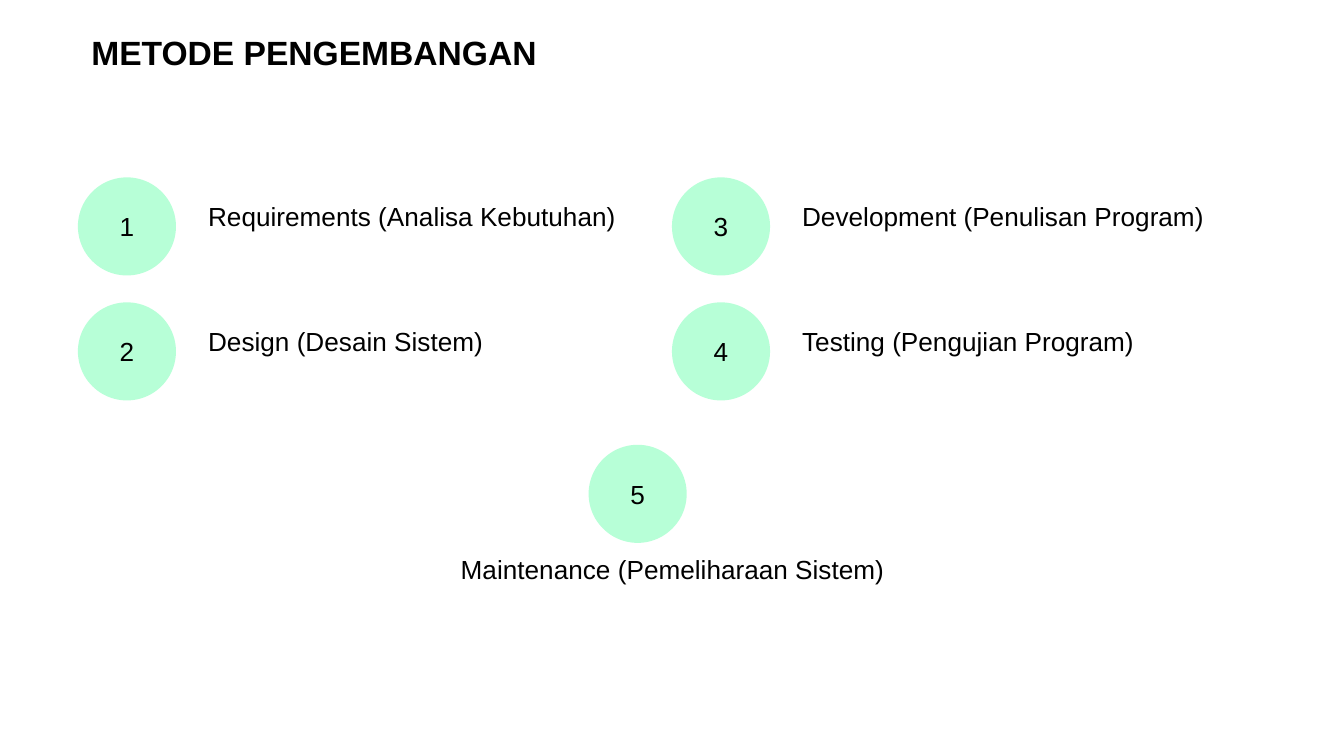
from lxml import etree
from pptx import Presentation
from pptx import util as u
from pptx.dml.color import RGBColor
from pptx.enum import shapes, text
from pptx.oxml.ns import qn

COLORS = {"text": "000000", "circle": "5CFFA6"}
FONT = "Arial"
CIRCLE_SIZE = 0.73
CIRCLE_OPACITY = 44
LEFT, TOP = 0.58, 1.32
COLUMN_PITCH, ROW_PITCH = 4.42, 0.93
LABEL_SHIFT_X, LABEL_SHIFT_Y = 0.87, 0.12
LABEL_WIDTH, LABEL_HEIGHT = 5, 0.34


def write(shape, words, size, alignment=text.PP_ALIGN.LEFT, bold=False):
    shape.text_frame.text = words
    paragraph = shape.text_frame.paragraphs[0]
    paragraph.alignment = alignment
    paragraph.font.name = FONT
    paragraph.font.size = u.Pt(size)
    paragraph.font.bold = bold
    paragraph.font.color.rgb = RGBColor.from_string(COLORS["text"])
    return paragraph


presentation = Presentation()
presentation.slide_width = u.Inches(10)
presentation.slide_height = presentation.slide_width * 9 // 16
slide = presentation.slides.add_slide(presentation.slide_layouts[5])

title = slide.shapes.title
title.left, title.top = u.Inches(LEFT), u.Inches(0.14)
title.width, title.height = u.Inches(3.62), u.Inches(0.6)
title_paragraph = write(title, "METODE PENGEMBANGAN", 18, bold=True)
title_paragraph.space_before = u.Pt(6)
title_paragraph.line_spacing = 1.0
title.text_frame.auto_size = text.MSO_AUTO_SIZE.NONE
title.text_frame.vertical_anchor = text.MSO_ANCHOR.TOP
title.text_frame.margin_top = title.text_frame.margin_bottom = u.Inches(0.1)

grid_steps = [
    "Requirements (Analisa Kebutuhan)",
    "Design (Desain Sistem)",
    "Development (Penulisan Program)",
    "Testing (Pengujian Program)",
]
steps = []
for index, words in enumerate(grid_steps):
    column, row = divmod(index, 2)
    left = LEFT + column * COLUMN_PITCH
    top = TOP + row * ROW_PITCH
    steps.append((words, left, top, left + LABEL_SHIFT_X, top + LABEL_SHIFT_Y))
steps.append(("Maintenance (Pemeliharaan Sistem)", 4.38, 3.31, 3.33, 4.07))

for number, (words, left, top, label_left, label_top) in enumerate(steps, 1):
    circle = slide.shapes.add_shape(
        shapes.MSO_SHAPE.OVAL, u.Inches(left), u.Inches(top),
        u.Inches(CIRCLE_SIZE), u.Inches(CIRCLE_SIZE))
    circle.shadow.inherit = False
    circle.line.fill.background()
    circle.fill.solid()
    circle.fill.fore_color.rgb = RGBColor.from_string(COLORS["circle"])
    color = circle.fill._xPr.find(qn("a:solidFill"))[0]
    etree.SubElement(color, qn("a:alpha"), val=str(CIRCLE_OPACITY * 1000))
    frame = circle.text_frame
    frame.margin_left = frame.margin_right = u.Inches(0.1)
    frame.margin_top = frame.margin_bottom = u.Inches(0.1)
    frame.vertical_anchor = text.MSO_ANCHOR.MIDDLE
    write(circle, str(number), 14, text.PP_ALIGN.CENTER)

    label = slide.shapes.add_textbox(
        u.Inches(label_left), u.Inches(label_top),
        u.Inches(LABEL_WIDTH), u.Inches(LABEL_HEIGHT))
    label.text_frame.word_wrap = True
    label.text_frame.auto_size = text.MSO_AUTO_SIZE.SHAPE_TO_FIT_TEXT
    write(label, words, 14)

presentation.save("out.pptx")
